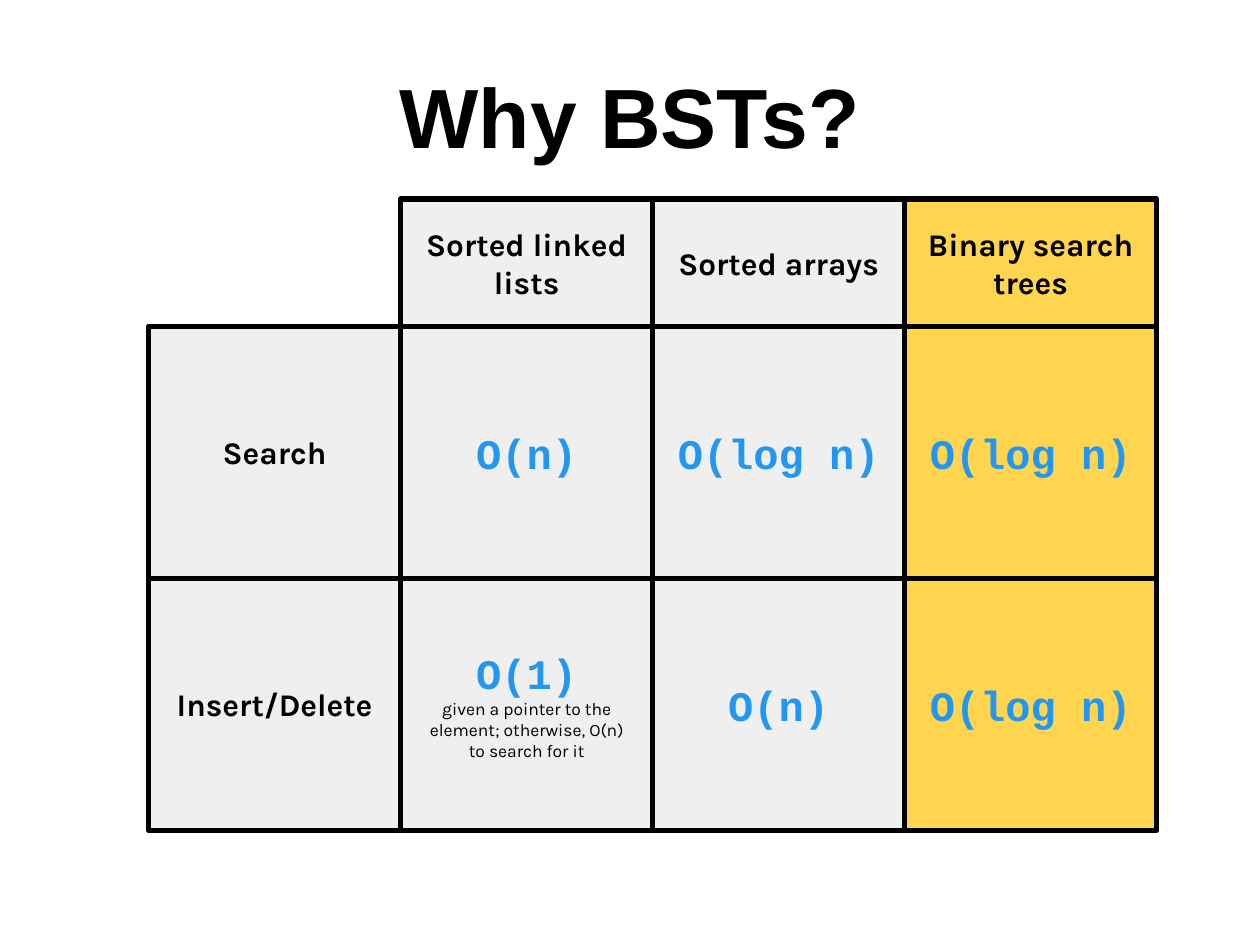
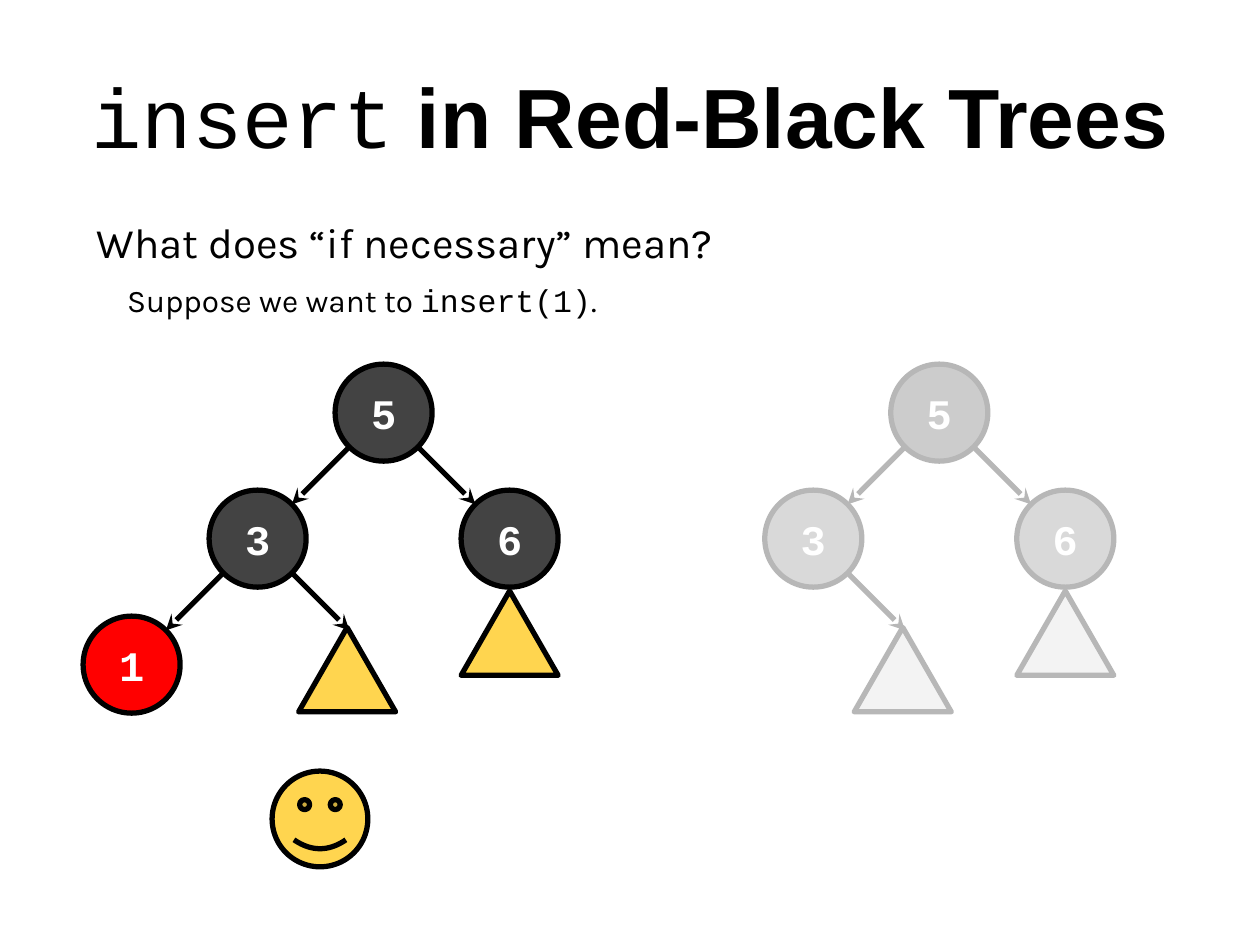
from math import sqrt

from lxml import etree
from pptx import Presentation
from pptx.dml.color import RGBColor
from pptx.enum.shapes import MSO_CONNECTOR, MSO_SHAPE
from pptx.enum.text import MSO_ANCHOR, PP_ALIGN
from pptx.oxml.ns import qn
from pptx.util import Inches, Pt

RECT, OVAL = MSO_SHAPE.RECTANGLE, MSO_SHAPE.OVAL
CONE, SMILE = MSO_SHAPE.ISOSCELES_TRIANGLE, MSO_SHAPE.SMILEY_FACE
STRAIGHT = MSO_CONNECTOR.STRAIGHT
TOP, MID = MSO_ANCHOR.TOP, MSO_ANCHOR.MIDDLE
LEFT, MIDST = PP_ALIGN.LEFT, PP_ALIGN.CENTER

WIDE, HIGH = 10, 7.5
HEAD, BODY, CODE = "Arial", "Karla", "Courier New"
BLACK, WHITE, GOLD, BLUE = "000000", "FFFFFF", "FFD54F", "2196F3"
PALE, DARK, RED, GREY = "EFEFEF", "434343", "FF0000", "B7B7B7"
hue = RGBColor.from_string


def draw(slide, kind, box, fill=None, line=BLACK):
    """Add a preset shape, or a text box when kind is None."""
    spots = [Inches(v) for v in box]
    if kind is None:
        shape = slide.shapes.add_textbox(*spots)
    else:
        shape = slide.shapes.add_shape(kind, *spots)
        shape.shadow.inherit = False
        shape.fill.solid()
        shape.fill.fore_color.rgb = hue(fill)
        shape.line.color.rgb = hue(line)
        shape.line.width = Pt(3)
        etree.SubElement(shape.line._get_or_add_ln(), qn("a:round"))
    frame = shape.text_frame
    frame.word_wrap = True
    frame.vertical_anchor = MID if kind else TOP
    frame.margin_left = frame.margin_right = Inches(0.1)
    frame.margin_top = frame.margin_bottom = Inches(0.1)
    return shape


def write(shape, text, size=24, font=CODE, color=BLACK, bold=False,
          align=MIDST, space=1.0, gap=0, inset=0, join=False):
    """Add a paragraph, or with join a run to the last paragraph."""
    frame = shape.text_frame
    para = frame.paragraphs[-1]
    if not join:
        if para.runs:
            para = frame.add_paragraph()
        para.alignment = align
        para.line_spacing = space
        if gap:
            para.space_before = Pt(gap)
        if inset:
            para._p.get_or_add_pPr().set("marL", str(Inches(inset)))
    run = para.add_run()
    run.text = text
    run.font.size, run.font.name, run.font.bold = Pt(size), font, bold
    run.font.color.rgb = hue(color)


deck = Presentation()
deck.slide_width, deck.slide_height = Inches(WIDE), Inches(HIGH)

# Both slides with their titles
titles = [
    [("Why BSTs?", HEAD, True)],
    [("insert", CODE, False), (" in Red-Black Trees", HEAD, True)],
]
for runs in titles:
    slide = deck.slides.add_slide(deck.slide_layouts[6])
    title = draw(slide, None, (0, 0.33, WIDE, 1.25))
    for n, (text, font, bold) in enumerate(runs):
        write(title, text, size=48, font=font, bold=bold, space=1.1, join=n > 0)
costs, trees = deck.slides

# Slide 1: grid of running times
CELL, EDGE = 2, 1.18
rows = [
    (1.58, 1.01, [None, "Sorted linked lists", "Sorted arrays", "Binary search trees"]),
    (2.59, CELL, ["Search", "O(n)", "O(log n)", "O(log n)"]),
    (4.59, CELL, ["Insert/Delete", "O(1)", "O(n)", "O(log n)"]),
]
notes = ["given a pointer to the", "element; otherwise, O(n)", "to search for it"]
for top, tall, texts in rows:
    for col, text in enumerate(texts):
        if text is None:
            continue
        box = (EDGE + col * CELL, top, CELL, tall)
        cell = draw(costs, RECT, box, GOLD if col == 3 else PALE)
        if text.startswith("O("):
            write(cell, text, color=BLUE, bold=True)
        else:
            write(cell, text, size=18, font=BODY, bold=True)
        if text == "O(1)":
            for note in notes:
                write(cell, note, size=10, font=BODY)

# Slide 2: question above the trees
ask = draw(trees, None, (0.67, 1.58, 8.67, HIGH - 1.58))
write(ask, "What does “if necessary” mean?", font=BODY, align=LEFT, space=1.1)
write(ask, "Suppose we want to ", size=18, font=BODY, align=LEFT, space=1.1,
      gap=6, inset=0.24)
write(ask, "insert(1)", size=18, join=True)
write(ask, ".", size=18, font=BODY, join=True)

# Slide 2: trees laid out in steps of one inch from the root
NODE, ROOT = 0.77, 2.89
REACH = NODE / 2 * sqrt(0.5)
live = [("5", 0, 0, DARK), ("3", -1, 1, DARK), ("6", 1, 1, DARK), ("1", -2, 2, RED)]
faded = [("5", 0, 0, "CCCCCC"), ("3", -1, 1, "D9D9D9"), ("6", 1, 1, "D9D9D9")]
links = [(0, 0, -1), (0, 0, 1), (-1, 1, 1), (-1, 1, -1)]
for left, nodes, leaf, line in [(2.66, live, GOLD, BLACK), (7.07, faded, "F3F3F3", GREY)]:
    for text, col, row, fill in nodes:
        node = draw(trees, OVAL, (left + col, ROOT + row, NODE, NODE), fill, line)
        write(node, text, color=WHITE, bold=True)
    for col, row, side in links[:len(nodes)]:
        x, y = left + col + NODE / 2, ROOT + row + NODE / 2
        ends = (x + side * REACH, y + REACH, x + side * (1 - REACH), y + 1 - REACH)
        arrow = trees.shapes.add_connector(STRAIGHT, *[Inches(v) for v in ends])
        arrow.line.color.rgb = hue(line)
        arrow.line.width = Pt(3)
        ln = arrow.line._get_or_add_ln()
        etree.SubElement(ln, qn("a:round"))
        etree.SubElement(ln, qn("a:tailEnd"), type="stealth")
        etree.SubElement(arrow._element.spPr, qn("a:effectLst"))
    for col, row in [(-0.29, 2.09), (1, 1.8)]:
        draw(trees, CONE, (left + col, ROOT + row, NODE, 0.67), leaf, line)

draw(trees, SMILE, (2.16, 6.12, 0.76, 0.76), GOLD)

deck.save("out.pptx")
